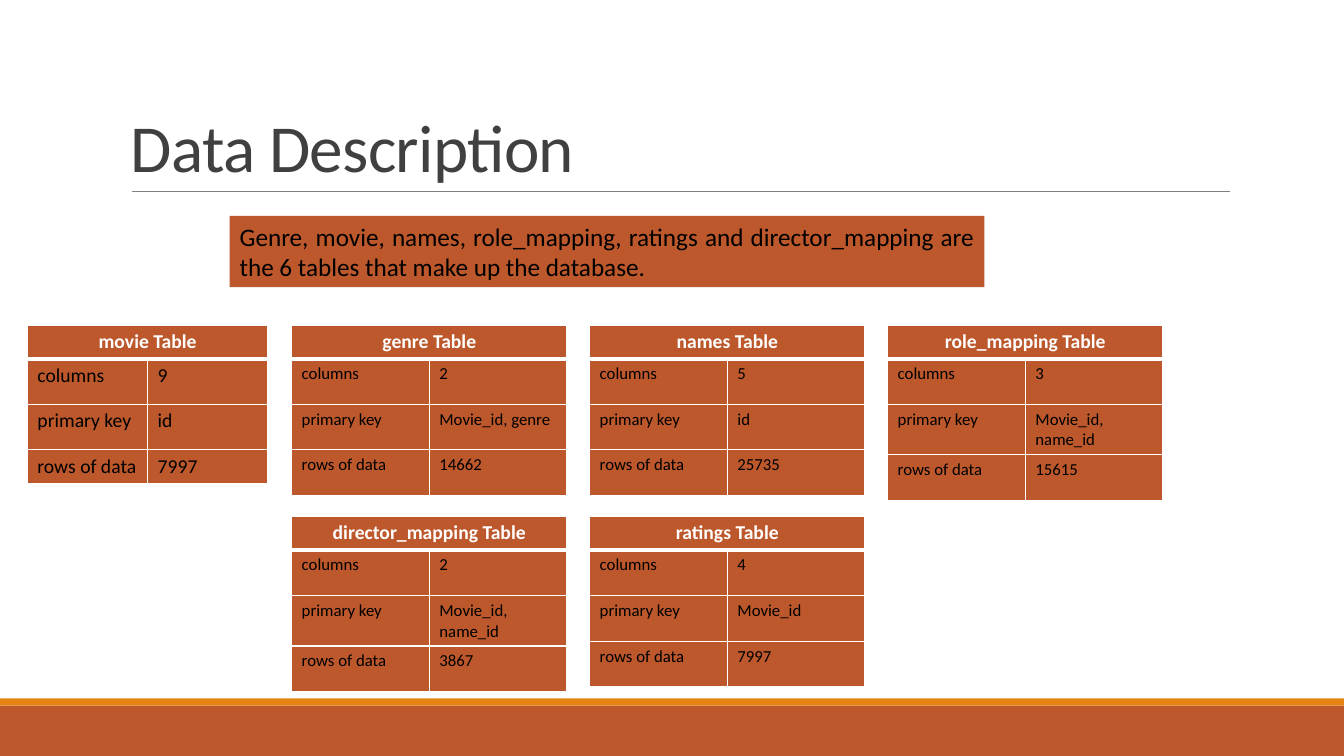
from dataclasses import dataclass

from lxml import etree
from pptx import Presentation
from pptx.dml.color import RGBColor
from pptx.enum.shapes import MSO_CONNECTOR, MSO_SHAPE
from pptx.enum.text import MSO_ANCHOR, PP_ALIGN
from pptx.oxml.ns import qn
from pptx.util import Cm, Pt

RECTANGLE = MSO_SHAPE.RECTANGLE
STRAIGHT = MSO_CONNECTOR.STRAIGHT
BOTTOM = MSO_ANCHOR.BOTTOM
MIDDLE = MSO_ANCHOR.MIDDLE
LEFT = PP_ALIGN.LEFT
CENTER = PP_ALIGN.CENTER
JUSTIFY = PP_ALIGN.JUSTIFY


@dataclass(frozen=True)
class Theme:
    font: str = "Calibri"
    rust: str = "BD582C"
    orange: str = "E48312"
    rule: str = "808080"
    heading: str = "404040"
    black: str = "000000"
    white: str = "FFFFFF"
    title_size: int = 48
    summary_size: int = 18
    header_size: int = 14
    body_size: int = 12


THEME = Theme()
SLIDE_WIDTH, SLIDE_HEIGHT = 33.87, 19.05
GRID_LEFT, GRID_PITCH = 7.35, 7.51
ROW_TOPS = (8.19, 13.01)
HEADER_HEIGHT, BODY_HEIGHT = 0.66, 1.15
COLUMN_WIDTH = 3.47
LABELS = ("columns", "primary key", "rows of data")
GRID_TABLES = (
    (0, 0, "genre Table", ("2", "Movie_id, genre", "14662")),
    (0, 1, "names Table", ("5", "id", "25735")),
    (0, 2, "role_mapping Table", ("3", "Movie_id, name_id", "15615")),
    (1, 0, "director_mapping Table", ("2", "Movie_id, name_id", "3867")),
    (1, 1, "ratings Table", ("4", "Movie_id", "7997")),
)


def write_text(text_frame, text, size, color, alignment=LEFT, bold=False):
    text_frame.text = text
    paragraph = text_frame.paragraphs[0]
    paragraph.alignment = alignment
    font = paragraph.runs[0].font
    font.name = THEME.font
    font.size = Pt(size)
    font.bold = bold
    font.color.rgb = RGBColor.from_string(color)
    return paragraph


def add_block(slide, left, top, width, height, color):
    shape = slide.shapes.add_shape(RECTANGLE, Cm(left), Cm(top), Cm(width), Cm(height))
    shape.shadow.inherit = False
    shape.fill.solid()
    shape.fill.fore_color.rgb = RGBColor.from_string(color)
    shape.line.fill.background()
    return shape


def add_rule(slide, left, right, top):
    connector = slide.shapes.add_connector(STRAIGHT, Cm(left), Cm(top), Cm(right), Cm(top))
    connector.line.color.rgb = RGBColor.from_string(THEME.rule)
    connector.line.width = Pt(0.5)
    etree.SubElement(connector._element.spPr, qn("a:effectLst"))


def add_title(slide, text):
    box = slide.shapes.add_textbox(Cm(3.05), Cm(0.79), Cm(27.94), Cm(4.04))
    box.text_frame.word_wrap = True
    box.text_frame.vertical_anchor = BOTTOM
    paragraph = write_text(box.text_frame, text, THEME.title_size, THEME.heading)
    paragraph.line_spacing = 0.85
    paragraph.runs[0].font._element.set("spc", "-50")


def add_summary(slide, text):
    shape = add_block(slide, 5.79, 5.44, 19.02, 1.8, THEME.rust)
    shape.text_frame.word_wrap = True
    shape.text_frame.vertical_anchor = MIDDLE
    write_text(shape.text_frame, text, THEME.summary_size, THEME.black, JUSTIFY)


def style_cell(cell, row):
    widths = {
        "lnL": 1,
        "lnR": 1,
        "lnT": 3 if row == 1 else 1,
        "lnB": 3 if row == 0 else 1,
    }
    properties = cell._tc.get_or_add_tcPr()
    for side, width in widths.items():
        border = etree.SubElement(properties, qn(f"a:{side}"), w=str(Pt(width)))
        fill = etree.SubElement(border, qn("a:solidFill"))
        etree.SubElement(fill, qn("a:srgbClr"), val=THEME.white)
    cell.fill.solid()
    cell.fill.fore_color.rgb = RGBColor.from_string(THEME.rust)


def add_data_table(slide, left, top, name, values, column_width=COLUMN_WIDTH,
                   body_size=THEME.body_size, last_height=BODY_HEIGHT):
    heights = (HEADER_HEIGHT, BODY_HEIGHT, BODY_HEIGHT, last_height)
    table = slide.shapes.add_table(
        len(heights), 2, Cm(left), Cm(top), Cm(2 * column_width), Cm(sum(heights))
    ).table
    for column in table.columns:
        column.width = Cm(column_width)
    for index, height in enumerate(heights):
        table.rows[index].height = Cm(height)
        for cell in table.rows[index].cells:
            style_cell(cell, index)
    header = table.cell(0, 0)
    header.merge(table.cell(0, 1))
    write_text(header.text_frame, name, THEME.header_size, THEME.white, CENTER, True)
    for row, pair in enumerate(zip(LABELS, values), start=1):
        for column, text in enumerate(pair):
            write_text(table.cell(row, column).text_frame, text, body_size, THEME.black)


def main():
    presentation = Presentation()
    presentation.slide_width = Cm(SLIDE_WIDTH)
    presentation.slide_height = Cm(SLIDE_HEIGHT)
    slide = presentation.slides.add_slide(presentation.slide_layouts[6])

    add_block(slide, 0, 17.78, SLIDE_WIDTH, 1.27, THEME.rust)
    add_block(slide, 0, 17.6, SLIDE_WIDTH, 0.18, THEME.orange)
    add_rule(slide, 3.32, 31.0, 4.82)
    add_title(slide, "Data Description")
    add_summary(
        slide,
        "Genre, movie, names, role_mapping, ratings and director_mapping "
        "are the 6 tables that make up the database.",
    )
    add_data_table(slide, 0.69, ROW_TOPS[0], "movie Table", ("9", "id", "7997"),
                   column_width=3.03, body_size=THEME.header_size,
                   last_height=HEADER_HEIGHT)
    for row, column, name, values in GRID_TABLES:
        add_data_table(slide, GRID_LEFT + column * GRID_PITCH, ROW_TOPS[row], name, values)

    presentation.save("out.pptx")


if __name__ == "__main__":
    main()
